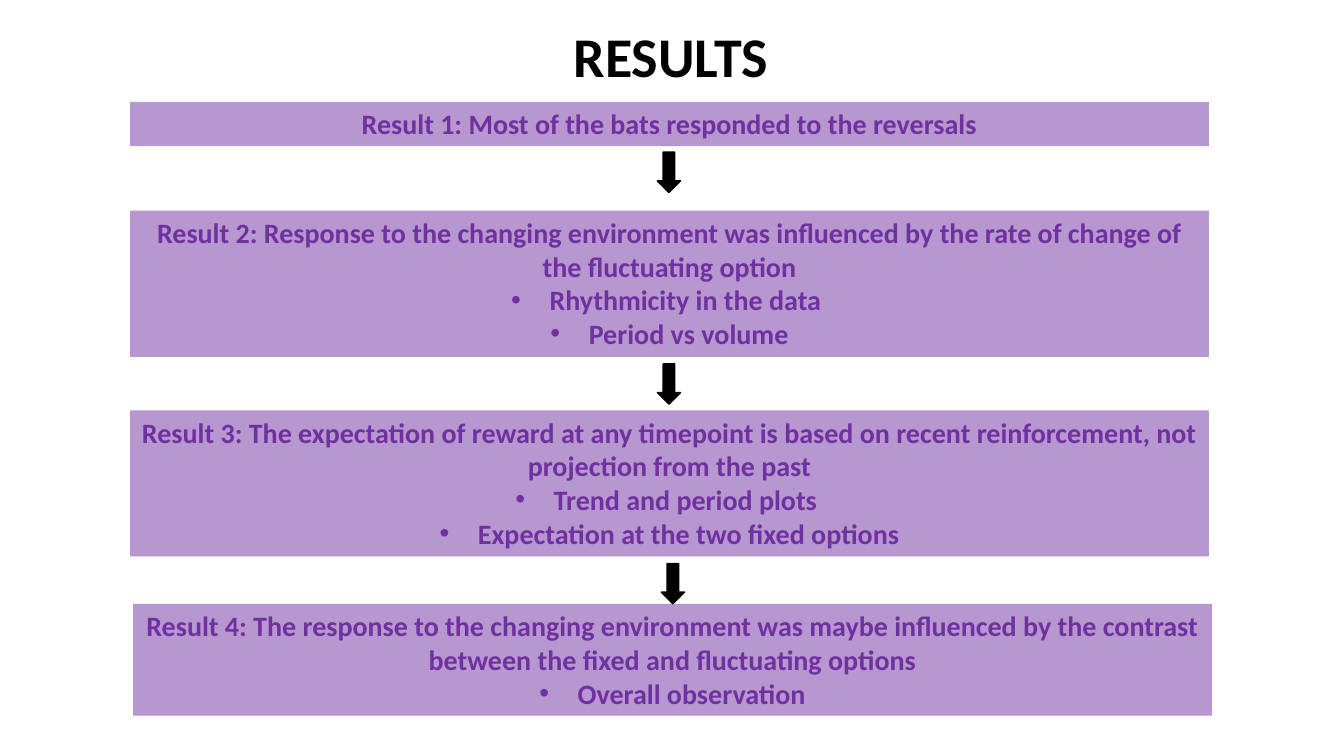
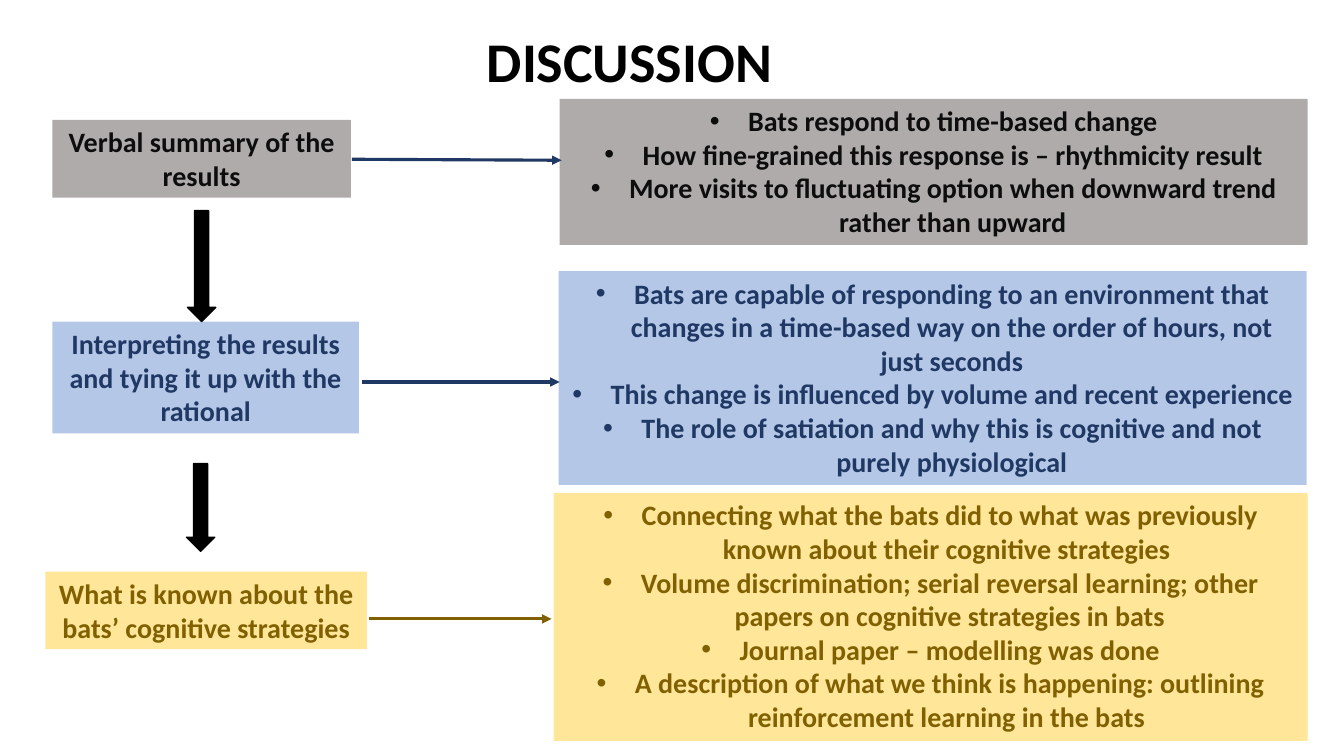
from lxml import etree
from pptx import Presentation
from pptx.dml.color import RGBColor
from pptx.enum.shapes import MSO_CONNECTOR, MSO_SHAPE
from pptx.enum.text import MSO_ANCHOR, MSO_AUTO_SIZE, PP_ALIGN
from pptx.oxml.ns import qn
from pptx.util import Inches, Pt

RECTANGLE = MSO_SHAPE.RECTANGLE
DOWN_ARROW = MSO_SHAPE.DOWN_ARROW
STRAIGHT = MSO_CONNECTOR.STRAIGHT
CENTER, LEFT = PP_ALIGN.CENTER, PP_ALIGN.LEFT
TOP = MSO_ANCHOR.TOP
GROW = MSO_AUTO_SIZE.SHAPE_TO_FIT_TEXT

BLACK, PURPLE = "000000", "7030A0"
NAVY, BROWN, CHARCOAL = "203864", "806000", "0D0D0D"
BLUE, YELLOW, GREY = "B4C7E7", "FFE699", "AFABAB"
BULLET_INDENT = Inches(0.38)
TITLE = {"size": Pt(40), "bold": True, "name": "Calibri"}
BODY = {"size": Pt(20), "bold": True, "name": "Calibri"}


def paint(fill, colour):
    fill.solid()
    fill.fore_color.rgb = RGBColor.from_string(colour)


def write(shape, lines, font_format, colour, alignment, wrap):
    frame = shape.text_frame
    frame_format = {"word_wrap": wrap, "auto_size": GROW, "vertical_anchor": TOP}
    for name, value in frame_format.items():
        setattr(frame, name, value)
    for index, line in enumerate(lines):
        paragraph = frame.add_paragraph() if index else frame.paragraphs[0]
        paragraph.alignment = alignment
        run = paragraph.add_run()
        run.text = line.removeprefix("• ")
        for name, value in font_format.items():
            setattr(run.font, name, value)
        paint(run.font.fill, colour)
        if line.startswith("• "):
            properties = paragraph._p.get_or_add_pPr()
            properties.set("marL", str(BULLET_INDENT))
            properties.set("indent", str(-BULLET_INDENT))
            etree.SubElement(properties, qn("a:buFont"), typeface="Arial")
            etree.SubElement(properties, qn("a:buChar"), char="•")


pages = [
    {
        "title": ("RESULTS", 5.59, 0.16, 2.15),
        "boxes": [
            (1.29, 1.01, 10.7, 0.44, PURPLE, PURPLE, [
                "Result 1: Most of the bats responded to the reversals",
            ]),
            (1.29, 2.09, 10.7, 1.45, PURPLE, PURPLE, [
                "Result 2: Response to the changing environment was influenced "
                "by the rate of change of the fluctuating option",
                "• Rhythmicity in the data ",
                "• Period vs volume",
            ]),
            (1.29, 4.07, 10.7, 1.45, PURPLE, PURPLE, [
                "Result 3: The expectation of reward at any timepoint is based "
                "on recent reinforcement, not projection from the past",
                "• Trend and period plots ",
                "• Expectation at the two fixed options",
            ]),
            (1.32, 5.99, 10.7, 1.11, PURPLE, PURPLE, [
                "Result 4: The response to the changing environment was maybe "
                "influenced by the contrast between the fixed and fluctuating options",
                "• Overall observation",
            ]),
        ],
        "opacity": 50,
        "down_arrows": [
            (6.52, 1.51, 0.23, 0.4),
            (6.52, 3.61, 0.23, 0.4),
            (6.56, 5.59, 0.23, 0.4),
        ],
        "links": [],
    },
    {
        "title": ("DISCUSSION", 4.73, 0.21, 3.06),
        "boxes": [
            (0.52, 1.19, 2.96, 0.77, GREY, CHARCOAL, [
                "Verbal summary of the results",
            ]),
            (0.52, 3.19, 3.04, 1.11, BLUE, NAVY, [
                "Interpreting the results and tying it up with the rational",
            ]),
            (0.45, 5.67, 3.19, 0.77, YELLOW, BROWN, [
                "What is known about the bats’ cognitive strategies",
            ]),
            (5.55, 0.98, 7.42, 1.45, GREY, CHARCOAL, [
                "• Bats respond to time-based change",
                "• How fine-grained this response is – rhythmicity result",
                "• More visits to fluctuating option when downward trend "
                "rather than upward",
            ]),
            (5.54, 2.69, 7.42, 2.12, BLUE, NAVY, [
                "• Bats are capable of responding to an environment that changes "
                "in a time-based way on the order of hours, not just seconds",
                "• This change is influenced by volume and recent experience",
                "• The role of satiation and why this is cognitive and not "
                "purely physiological",
            ]),
            (5.49, 4.89, 7.48, 2.46, YELLOW, BROWN, [
                "• Connecting what the bats did to what was previously known "
                "about their cognitive strategies ",
                "• Volume discrimination; serial reversal learning; other papers "
                "on cognitive strategies in bats",
                "• Journal paper – modelling was done",
                "• A description of what we think is happening: outlining "
                "reinforcement learning in the bats ",
            ]),
        ],
        "opacity": 100,
        "down_arrows": [(1.86, 2.09, 0.28, 1.1), (1.85, 4.6, 0.28, 0.87)],
        "links": [
            (3.49, 1.58, 5.57, 1.59, NAVY),
            (3.59, 3.79, 5.55, 3.79, NAVY),
            (3.66, 6.14, 5.47, 6.14, BROWN),
        ],
    },
]

presentation = Presentation()
presentation.slide_width = Inches(13.33)
presentation.slide_height = Inches(7.5)
blank_layout = presentation.slide_layouts[6]

for page in pages:
    slide = presentation.slides.add_slide(blank_layout)

    text, *place = page["title"]
    title = slide.shapes.add_textbox(*map(Inches, place), Inches(0.77))
    write(title, [text], TITLE, BLACK, LEFT, False)

    for *place, fill_colour, text_colour, lines in page["boxes"]:
        box = slide.shapes.add_shape(RECTANGLE, *map(Inches, place))
        box.shadow.inherit = False
        box.line.fill.background()
        paint(box.fill, fill_colour)
        if page["opacity"] < 100:
            colour = box._element.spPr.find(qn("a:solidFill"))[0]
            etree.SubElement(colour, qn("a:alpha"), val=str(page["opacity"] * 1000))
        write(box, lines, BODY, text_colour, CENTER, True)

    for place in page["down_arrows"]:
        arrow = slide.shapes.add_shape(DOWN_ARROW, *map(Inches, place))
        arrow.shadow.inherit = False
        paint(arrow.fill, BLACK)
        paint(arrow.line.fill, BLACK)
        arrow.line.width = Pt(1)

    for *ends, colour in page["links"]:
        link = slide.shapes.add_connector(STRAIGHT, *map(Inches, ends))
        paint(link.line.fill, colour)
        link.line.width = Pt(2.25)
        properties = link._element.spPr
        etree.SubElement(properties.find(qn("a:ln")), qn("a:tailEnd"), type="triangle")
        etree.SubElement(properties, qn("a:effectLst"))

presentation.save("out.pptx")
